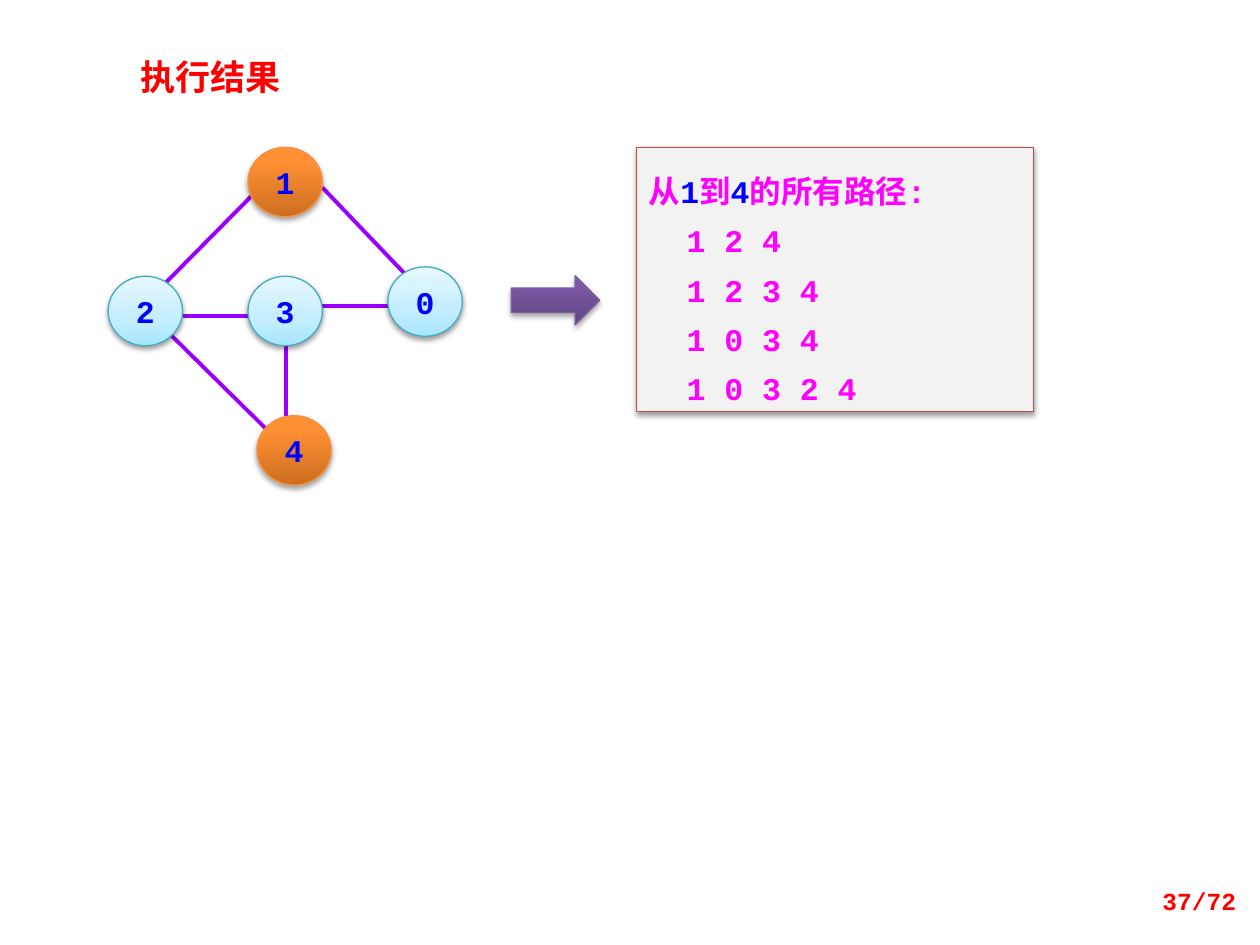
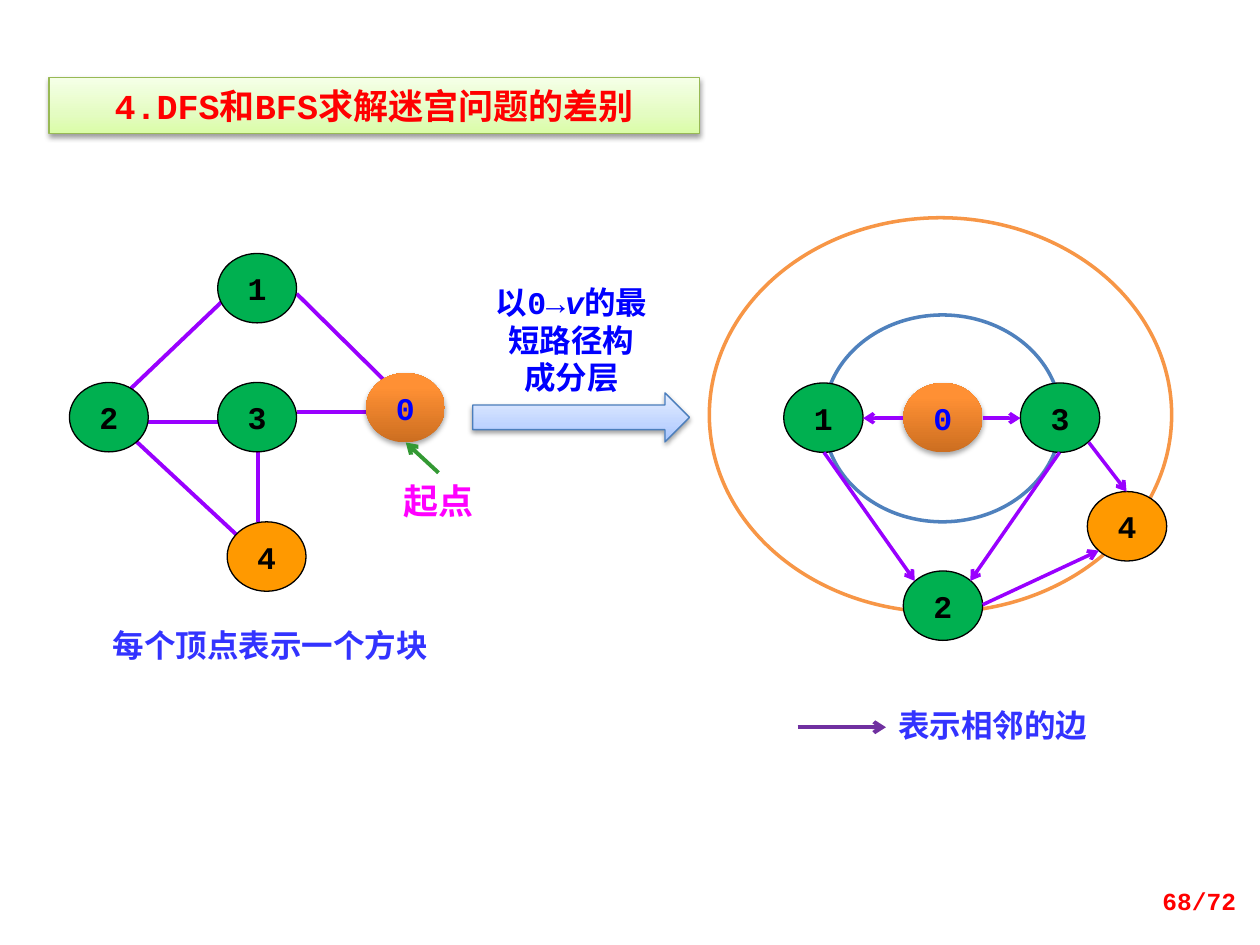
"""Build two slides on graph paths and on DFS versus BFS in a maze."""
from lxml import etree
from pptx import Presentation
from pptx import util as u
from pptx.dml.color import RGBColor
from pptx.enum import shapes, text
from pptx.oxml import ns

RED, BLUE, INDIGO, MAGENTA = "FF0000", "0000FF", "3333FF", "FF00FF"
EDGE, BLACK = "9900FF", "000000"
LATIN, CJK = "Courier New", "Noto Sans CJK SC"
SOFT, STRONG = (38, 1.6), (35, 1.8)
LEFT, CENTER, RIGHT = text.PP_ALIGN.LEFT, text.PP_ALIGN.CENTER, text.PP_ALIGN.RIGHT
OVAL, RECT = shapes.MSO_SHAPE.OVAL, shapes.MSO_SHAPE.RECTANGLE
ARROW = shapes.MSO_SHAPE.RIGHT_ARROW

ORANGE_GRADIENT = [(0, "CC6E20"), (80, "FF9034"), (100, "FF9136")]
SKY_GRADIENT = [(0, "A7E6FF"), (35, "C1EDFF"), (100, "E7F8FF")]
PURPLE_GRADIENT = [(0, "5F4480"), (80, "7B58A6"), (100, "7C57A8")]
LIME_GRADIENT = [(0, "DAFDA7"), (35, "E4FCC2"), (100, "F5FFE7")]
BLUE_GRADIENT = [(0, "A4C4FF"), (35, "BFD4FF"), (100, "E6EEFF")]

ENDPOINT = (ORANGE_GRADIENT, "F69240", STRONG, BLUE)
SKY = (SKY_GRADIENT, "46AAC5", SOFT, BLUE)
START = (ORANGE_GRADIENT, None, STRONG, BLUE)
GREEN = ("00B050", BLACK, None, BLACK)
AMBER = ("FF9900", BLACK, None, BLACK)

NODE_W, NODE_H = 1.5, 1.4
GRAPH_NODES = {"1": (2.82, 0), "3": (2.82, 2.6), "2": (0, 2.6),
               "4": (3, 5.41), "0": (5.64, 2.41)}
GRAPH_EDGES = [(4.32, 0.81, 6.02, 2.59), (1.09, 3.61, 3.3, 5.79),
               (2.9, 0.97, 1.17, 2.72), (1.5, 3.4, 3, 3.4),
               (3.58, 4.01, 3.58, 5.41), (4.32, 3.2, 5.82, 3.2)]


def rgb(value):
    """Turn a hex string into a colour."""
    return RGBColor.from_string(value)


def child(parent, tag, **attrs):
    """Append a DrawingML element to a parent."""
    return etree.SubElement(parent, ns.qn("a:" + tag),
                            {k: str(v) for k, v in attrs.items()})


class Deck:
    """Hold the shared style and the current slide."""

    def __init__(self):
        """Start an empty 4:3 presentation."""
        self.prs = Presentation()
        self.prs.slide_width, self.prs.slide_height = u.Cm(25.4), u.Cm(19.05)
        self.slide = None

    def new_slide(self, number):
        """Add a blank slide with its page number."""
        self.slide = self.prs.slides.add_slide(self.prs.slide_layouts[6])
        self.label((19.25, 17.65, 5.92, 1.02), f"{number}/72", RED, 14, RIGHT)

    def fill_text(self, sp, lines, color, size=18, align=CENTER, wrap=True):
        """Fill a shape with lines, each a string or a list of (text, colour, italic)."""
        tf = sp.text_frame
        tf.word_wrap = wrap
        for i, line in enumerate(lines):
            p = tf.add_paragraph() if i else tf.paragraphs[0]
            p.alignment = align
            runs = [(line, color, False)] if isinstance(line, str) else line
            for words, run_color, italic in runs:
                r = p.add_run()
                r.text = words
                r.font.size, r.font.name = u.Pt(size), LATIN
                r.font.bold, r.font.italic = True, italic
                r.font.color.rgb = rgb(run_color)
                child(r.font._element, "ea", typeface=CJK)
        return tf

    def label(self, box, words, color, size=18, align=CENTER):
        """Add a text box holding one paragraph."""
        sp = self.slide.shapes.add_textbox(*map(u.Cm, box))
        tf = self.fill_text(sp, [words], color, size, align)
        tf.vertical_anchor = text.MSO_ANCHOR.MIDDLE

    def shape(self, kind, box, fill, line=None, shadow=None, width=0.75):
        """Add a preset shape with a solid or gradient fill."""
        sp = self.slide.shapes.add_shape(kind, *map(u.Cm, box))
        sp.shadow.inherit = False
        if isinstance(fill, str):
            sp.fill.solid()
            sp.fill.fore_color.rgb = rgb(fill)
        else:
            sp.fill.gradient()
            sp.fill.gradient_angle = 90
            stops = sp._element.spPr.find(".//" + ns.qn("a:gsLst"))
            for old in list(stops):
                stops.remove(old)
            for pos, color in fill:
                child(child(stops, "gs", pos=pos * 1000), "srgbClr", val=color)
        if line:
            sp.line.color.rgb = rgb(line)
            sp.line.width = u.Pt(width)
        else:
            sp.line.fill.background()
        if shadow:
            alpha, dist = shadow
            effects = sp._element.spPr.find(ns.qn("a:effectLst"))
            outer = child(effects, "outerShdw", blurRad=u.Pt(3.1), dist=u.Pt(dist),
                          dir=5400000, rotWithShape=0)
            child(child(outer, "srgbClr", val=BLACK), "alpha", val=alpha * 1000)
        return sp

    def node(self, name, x, y, look, width=1.6):
        """Add a numbered graph vertex."""
        fill, line, shadow, color = look
        sp = self.shape(OVAL, (x, y, width, NODE_H), fill, line, shadow)
        tf = self.fill_text(sp, [name], color, wrap=False)
        tf.vertical_anchor = text.MSO_ANCHOR.MIDDLE

    def line(self, ends, color=EDGE, width=2.25, arrow=False):
        """Add a straight line, with an open arrowhead if asked."""
        cn = self.slide.shapes.add_connector(shapes.MSO_CONNECTOR.STRAIGHT,
                                             *map(u.Cm, ends))
        cn.line.color.rgb = rgb(color)
        cn.line.width = u.Pt(width)
        if arrow:
            child(cn.line._get_or_add_ln(), "tailEnd", type="arrow")
        child(cn._element.spPr, "effectLst")

    def graph(self, left, top, scale, looks, default):
        """Draw the five-vertex graph, stretched sideways by scale."""
        for x1, y1, x2, y2 in GRAPH_EDGES:
            self.line((left + x1 * scale, top + y1, left + x2 * scale, top + y2))
        for name, (x, y) in GRAPH_NODES.items():
            self.node(name, left + x * scale, top + y,
                      looks.get(name, default), NODE_W * scale)


def paths_slide(deck):
    """Show every path from vertex 1 to vertex 4."""
    deck.new_slide(37)
    deck.graph(2.18, 2.97, 1, {"1": ENDPOINT, "4": ENDPOINT}, SKY)
    deck.label((2.59, 0.99, 6.35, 1.12), "执行结果", RED, 20, LEFT)
    deck.shape(ARROW, (10.31, 5.56, 1.78, 0.99), PURPLE_GRADIENT, "7D60A0", STRONG)
    sp = deck.shape(RECT, (12.83, 2.97, 8, 5.33), "F2F2F2", "BF4C48", SOFT)
    heading = [("从", MAGENTA, False), ("1", BLUE, False), ("到", MAGENTA, False),
               ("4", BLUE, False), ("的所有路径:", MAGENTA, False)]
    paths = ["1 2 4", "1 2 3 4", "1 0 3 4", "1 0 3 2 4"]
    tf = deck.fill_text(sp, [heading, *paths], MAGENTA, align=LEFT)
    tf.vertical_anchor = text.MSO_ANCHOR.TOP
    tf.paragraphs[0].line_spacing = 1.5
    for p in tf.paragraphs[1:]:
        p.line_spacing = 1.3
        p._p.get_or_add_pPr().set("marL", str(u.Cm(0.76)))


def maze_slide(deck):
    """Compare the maze graph with its breadth-first layers."""
    deck.new_slide(68)
    sp = deck.shape(RECT, (0.99, 1.57, 13.11, 1.12), LIME_GRADIENT, "98B955", SOFT)
    deck.fill_text(sp, ["4.DFS和BFS求解迷宫问题的差别"], RED, 20)

    deck.graph(1.4, 5.11, 1.06, {"4": AMBER, "0": START}, GREEN)
    deck.label((1.78, 12.5, 7.34, 1.02), "每个顶点表示一个方块", INDIGO)
    deck.label((7.54, 9.53, 2.59, 1.12), "起点", MAGENTA, 20)
    deck.line((8.84, 9.53, 8.18, 8.92), "339933", arrow=True)

    deck.label((9.73, 5.56, 3.58, 2.57),
               [("以0→", BLUE, False), ("v", BLUE, True),
                ("的最短路径构成分层", BLUE, False)], BLUE)
    deck.shape(ARROW, (9.53, 7.92, 4.37, 0.99), BLUE_GRADIENT, "4B7EBC", SOFT)

    deck.shape(OVAL, (14.3, 4.39, 9.32, 7.95), "FFFFFF", "F79646", width=2)
    deck.shape(OVAL, (16.61, 6.35, 4.78, 4.17), "FFFFFF", "4F81BD", width=2)
    for name, x, y, look in [("0", 18.21, 7.72, START), ("1", 15.8, 7.72, GREEN),
                             ("3", 20.57, 7.72, GREEN), ("2", 18.21, 11.51, GREEN),
                             ("4", 21.92, 9.91, AMBER)]:
        deck.node(name, x, y, look)
    for ends in [(19.81, 8.43, 20.57, 8.43), (18.21, 8.43, 17.4, 8.43),
                 (16.61, 9.12, 18.44, 11.71), (21.36, 9.12, 19.56, 11.71),
                 (21.95, 8.92, 22.71, 9.91), (19.81, 12.19, 22.15, 11.1)]:
        deck.line(ends, width=2, arrow=True)

    deck.line((16.08, 14.66, 17.86, 14.66), "7030A0", arrow=True)
    deck.label((17.86, 14.1, 5.56, 1.02), "表示相邻的边", INDIGO, align=LEFT)


def main():
    """Build and save the deck."""
    deck = Deck()
    paths_slide(deck)
    maze_slide(deck)
    deck.prs.save("out.pptx")


if __name__ == "__main__":
    main()
